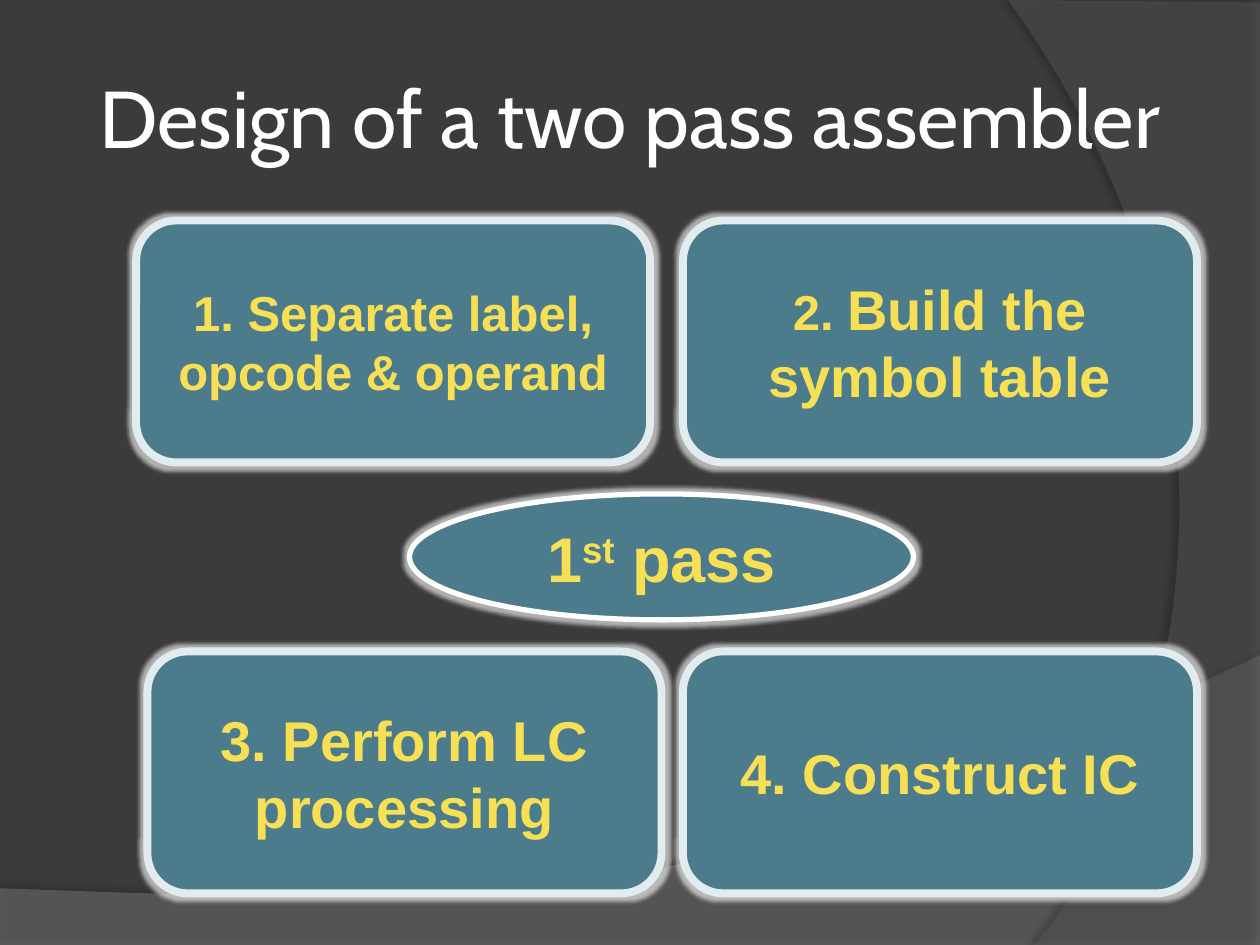
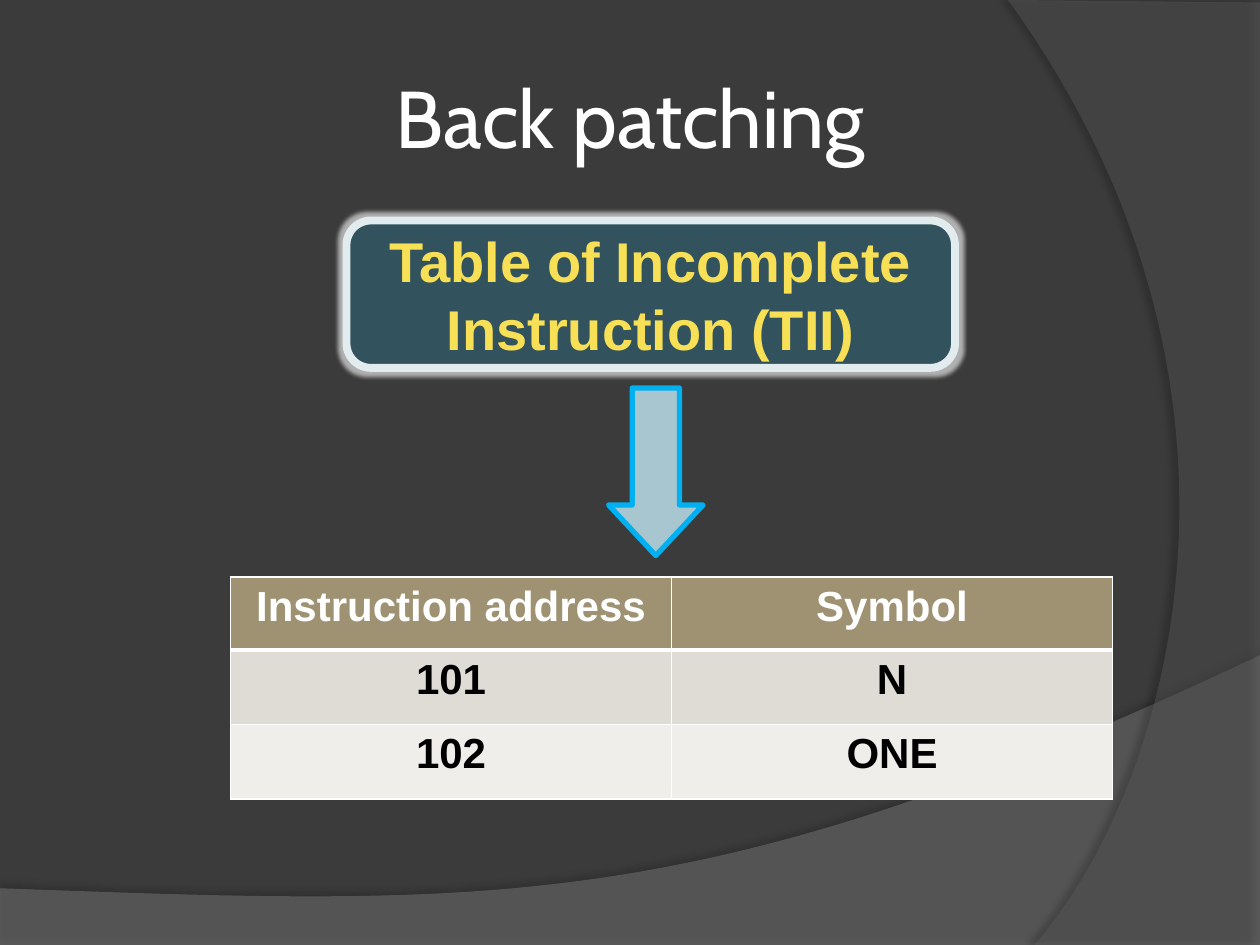
from lxml import etree
from pptx import Presentation
from pptx.dml.color import RGBColor
from pptx.enum.shapes import MSO_SHAPE as SHAPE
from pptx.enum.text import MSO_ANCHOR as ANCHOR, MSO_AUTO_SIZE as AUTO_SIZE, PP_ALIGN as ALIGN
from pptx.oxml.ns import qn
from pptx.util import Inches, Pt

COLORS = {
    "background": "3B3B3B", "floor": "7F7F7F", "side": "5E5E5E",
    "shadow": "000000", "white": "FFFFFF", "black": "000000",
    "box": "4C7C8B", "dark_box": "32525D", "box_line": "E2ECEF", "yellow": "F7DF56",
    "arrow": "A8C6D0", "arrow_line": "00B0F0",
    "header": "9E9273", "odd_row": "DFDCD5", "even_row": "F0EEEB",
}
TITLE_FONT, BODY_FONT = "Cabin", "Arial"


def rgb(name):
    return RGBColor.from_string(COLORS[name])


def add_color(parent, name, alpha=None):
    color = etree.SubElement(parent, qn("a:srgbClr"), val=COLORS[name])
    if alpha is not None:
        etree.SubElement(color, qn("a:alpha"), val=str(alpha * 1000))


def add_effect(shape, tag, color, alpha, **attributes):
    shape.shadow.inherit = False
    effects = shape.element.spPr.find(qn("a:effectLst"))
    effect = etree.SubElement(effects, qn(tag), **attributes)
    add_color(effect, color, alpha)


def bezier(p0, p1, p2, p3, steps=60):
    """Points along a cubic curve, from p0 to p3."""
    points = []
    for i in range(steps + 1):
        t = i / steps
        u = 1 - t
        weights = (u ** 3, 3 * u * u * t, 3 * u * t * t, t ** 3)
        points.append(tuple(sum(w * c for w, c in zip(weights, axis))
                            for axis in zip(p0, p1, p2, p3)))
    return points


class Deck:
    """Holds the presentation, its style and the current slide."""

    def __init__(self):
        self.prs = Presentation()
        self.prs.slide_width, self.prs.slide_height = Inches(10), Inches(7.5)
        fill = self.prs.slide_master.background.fill
        fill.solid()
        fill.fore_color.rgb = rgb("background")

    def slide(self, title):
        self.s = self.prs.slides.add_slide(self.prs.slide_layouts[5])
        floor = [(0, 7.51), (10, 7.51)] + bezier((10, 5.2), (5.59, 7.29), (3.91, 7.19), (0, 7.05))
        side = [(10, 0.02), (10, 7.5)] + bezier((8.21, 7.5), (9.35, 6.19), (10.18, 3), (8, 0))
        self.band(floor, "floor", 45, 2, shadow_alpha=35, distance=3.5, angle=270)
        self.band(side, "side", 40, 3, shadow_alpha=45, distance=4, angle=180)
        self.title(title)

    def band(self, points, color, alpha, z, shadow_alpha, distance, angle):
        start, *rest = [(Inches(x), Inches(y)) for x, y in points]
        builder = self.s.shapes.build_freeform(*start)
        builder.add_line_segments(rest, close=True)
        sp = builder.convert_to_shape()
        sp.fill.solid()
        sp.fill.fore_color.rgb = rgb(color)
        clr = sp.element.spPr.find(qn("a:solidFill"))[0]
        etree.SubElement(clr, qn("a:alpha"), val=str(alpha * 1000))
        sp.line.fill.background()
        add_effect(sp, "a:outerShdw", "shadow", shadow_alpha, blurRad=str(Pt(4)),
                   dist=str(Pt(distance)), dir=str(angle * 60000))
        self.s.shapes.element.insert(z, sp.element)

    def title(self, text):
        sp = self.s.shapes.title
        sp.left, sp.top, sp.width, sp.height = (Inches(v) for v in (0.5, 0.3, 9, 1.25))
        tf = sp.text_frame
        tf.auto_size = AUTO_SIZE.NONE
        tf.margin_left = tf.margin_right = tf.margin_top = tf.margin_bottom = Inches(0.05)
        self.text(tf, [(text, 46)], "white", TITLE_FONT, bold=False)

    def text(self, tf, runs, color, font=BODY_FONT, bold=True, anchor=ANCHOR.MIDDLE):
        """Each run is (text, size) or (text, size, raise in percent)."""
        tf.word_wrap = True
        tf.vertical_anchor = anchor
        p = tf.paragraphs[0]
        p.alignment = ALIGN.CENTER
        for text, size, *baseline in runs:
            r = p.add_run()
            r.text = text
            r.font.name, r.font.size, r.font.bold = font, Pt(size), bold
            r.font.color.rgb = rgb(color)
            if baseline:
                r.font._element.set("baseline", str(baseline[0] * 1000))

    def shape(self, kind, left, top, width, height, fill, line, line_width):
        sp = self.s.shapes.add_shape(kind, *(Inches(v) for v in (left, top, width, height)))
        sp.shadow.inherit = False
        sp.fill.solid()
        sp.fill.fore_color.rgb = rgb(fill)
        sp.line.color.rgb = rgb(line)
        sp.line.width = Pt(line_width)
        return sp

    def box(self, left, top, width, height, runs, fill="box",
            kind=SHAPE.ROUNDED_RECTANGLE, line="box_line", line_width=4.5):
        """A glowing shape with yellow text."""
        sp = self.shape(kind, left, top, width, height, fill, line, line_width)
        add_effect(sp, "a:glow", "white", 60, rad=str(Pt(5)))
        self.text(sp.text_frame, runs, "yellow")

    def down_arrow(self, left, top, width, height):
        sp = self.shape(SHAPE.DOWN_ARROW, left, top, width, height, "arrow", "arrow_line", 3)
        sp.adjustments[0], sp.adjustments[1] = 0.5, 0.535

    def borders(self, cell, top, bottom):
        tcPr = cell._tc.get_or_add_tcPr()
        for side, width in (("L", 1), ("R", 1), ("T", top), ("B", bottom)):
            ln = etree.SubElement(tcPr, qn(f"a:ln{side}"), w=str(Pt(width)))
            add_color(etree.SubElement(ln, qn("a:solidFill")), "white")

    def table(self, left, top, col_width, row_heights, rows):
        width, height = col_width * len(rows[0]), sum(row_heights)
        table = self.s.shapes.add_table(len(rows), len(rows[0]), Inches(left), Inches(top),
                                        Inches(width), Inches(height)).table
        for i, (row, row_height) in enumerate(zip(rows, row_heights)):
            table.rows[i].height = Inches(row_height)
            fill = "header" if i == 0 else "odd_row" if i % 2 else "even_row"
            for j, text in enumerate(row):
                cell = table.cell(i, j)
                self.borders(cell, top=3 if i == 1 else 1, bottom=3 if i == 0 else 1)
                cell.fill.solid()
                cell.fill.fore_color.rgb = rgb(fill)
                self.text(cell.text_frame, [(text, 24)], "black" if i else "white",
                          anchor=ANCHOR.TOP)


def main():
    deck = Deck()

    deck.slide("Design of a two pass assembler")
    upper, lower, right = 1.75, 5.17, 5.42
    steps = [
        (1.08, upper, [("1. Separate label, opcode & operand", 28)]),
        (right, upper, [("2. ", 28), ("Build the symbol table", 32)]),
        (1.17, lower, [("3. Perform LC processing", 32)]),
        (right, lower, [("4. Construct IC", 32)]),
    ]
    for left, top, runs in steps:
        deck.box(left, top, 4.08, 1.92, runs)
    deck.box(3.25, 3.92, 4, 1, [("1", 36), ("st", 36, 30), (" pass", 36)],
             kind=SHAPE.OVAL, line="white", line_width=3)

    deck.slide("Back patching")
    deck.box(2.75, 1.75, 4.83, 1.17, [("Table of Incomplete Instruction (TII)", 32)],
             fill="dark_box")
    deck.table(1.83, 4.58, 3.5, (0.58, 0.59, 0.59),
               [("Instruction address", "Symbol"), ("101", "N"), ("102", "ONE")])
    deck.down_arrow(4.83, 3.08, 0.75, 1.33)

    deck.prs.save("out.pptx")


if __name__ == "__main__":
    main()
